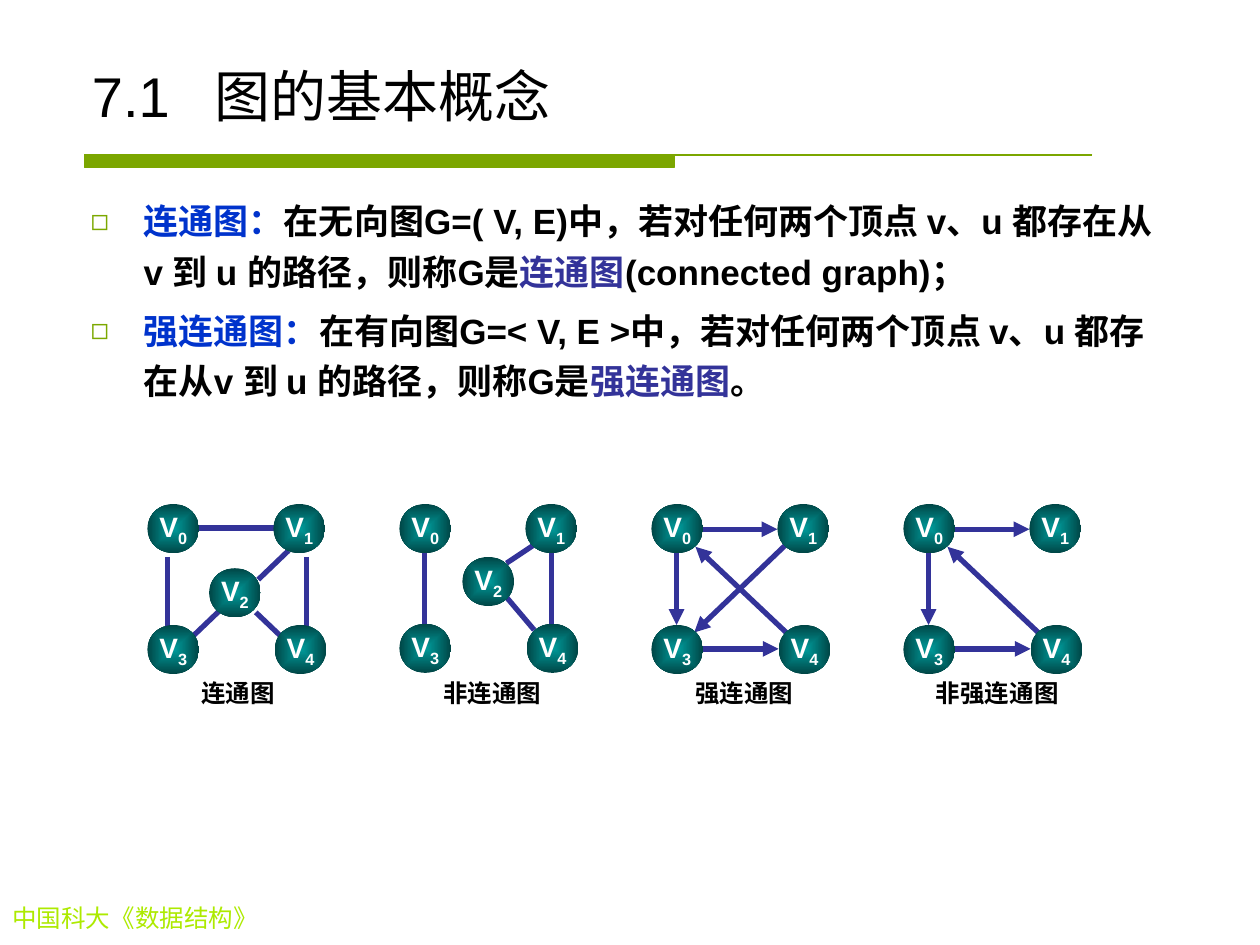
"""Builds a slide that defines connected and strongly connected graphs."""
from lxml import etree
from pptx import Presentation
from pptx.dml.color import RGBColor
from pptx.enum import shapes, text
from pptx.oxml.ns import qn
from pptx.util import Inches, Pt

BLACK = RGBColor(0x00, 0x00, 0x00)
WHITE = RGBColor(0xFF, 0xFF, 0xFF)
GREEN = RGBColor(0x7B, 0xA6, 0x00)
LIME = RGBColor(0xAD, 0xEA, 0x00)
BLUE = RGBColor(0x00, 0x33, 0xCC)
INDIGO = RGBColor(0x33, 0x33, 0x99)
TEAL = RGBColor(0x00, 0x99, 0x99)
DARK_TEAL = RGBColor(0x00, 0x46, 0x46)


def write(para, content, size=20, color=BLACK, bold=True, face="Arial", baseline=0):
    span = para.add_run()
    span.text = content
    span.font.size = Pt(size)
    span.font.bold = bold
    span.font.name = face
    span.font.color.rgb = color
    if baseline:
        span.font._element.set("baseline", str(baseline * 1000))


def add_element(parent, tag, **attributes):
    return etree.SubElement(parent, qn(tag), attributes)


deck = Presentation()
deck.slide_width, deck.slide_height = Inches(10), Inches(7.5)
page = deck.slides.add_slide(deck.slide_layouts[1])

outline = page.shapes.build_freeform(Inches(0.67), Inches(1.23))
outline.add_line_segments(
    [(Inches(x), Inches(y)) for x, y in [(5.35, 1.23), (5.35, 1.33), (0.67, 1.33)]])
outline.move_to(Inches(0.67), Inches(1.23))
outline.add_line_segments([(Inches(8.67), Inches(1.23))], close=False)
rule = outline.convert_to_shape()
rule.shadow.inherit = False
rule.fill.solid()
rule.fill.fore_color.rgb = GREEN
rule.line.color.rgb = GREEN
rule.line.width = Pt(0.75)

footer = page.shapes.add_textbox(Inches(0), Inches(7.12), Inches(3.11), Inches(0.34))
footer.text_frame.word_wrap = True
write(footer.text_frame.paragraphs[0], "中国科大《数据结构》",
      size=14, color=LIME, bold=False, face="Times New Roman")

title = page.shapes.title
title.left, title.top, title.width, title.height = map(Inches, (0.63, 0.33, 8.75, 0.74))
title.text_frame.vertical_anchor = text.MSO_ANCHOR.BOTTOM
title.text_frame.auto_size = text.MSO_AUTO_SIZE.NONE
para = title.text_frame.paragraphs[0]
para.alignment = text.PP_ALIGN.LEFT
tabs = add_element(para._p.get_or_add_pPr(), "a:tabLst")
add_element(tabs, "a:tab", pos=str(Inches(0.97)), algn="l")
write(para, "7.1\t图的基本概念", size=32, bold=False)

definitions = [
    [("连通图：", BLUE),
     ("在无向图G=( V, E)中，若对任何两个顶点 v、u 都存在从v 到 u 的路径，则称G是", BLACK),
     ("连通图", INDIGO), ("(connected graph)；", BLACK)],
    [("强连通图：", BLUE),
     ("在有向图G=< V, E >中，若对任何两个顶点 v、u 都存在从v 到 u 的路径，则称G是", BLACK),
     ("强连通图", INDIGO), ("。", BLACK)],
]
body = page.placeholders[1]
body.left, body.top, body.width, body.height = map(Inches, (0.62, 1.47, 8.75, 5.43))
body.text_frame.auto_size = text.MSO_AUTO_SIZE.NONE
for index, parts in enumerate(definitions):
    para = body.text_frame.add_paragraph() if index else body.text_frame.paragraphs[0]
    properties = para._p.get_or_add_pPr()
    properties.set("marL", str(Inches(0.42)))
    properties.set("indent", str(Inches(-0.42)))
    add_element(add_element(properties, "a:buClr"), "a:srgbClr", val="7CA800")
    add_element(properties, "a:buSzPct", val="85000")
    add_element(properties, "a:buChar", char="◻")
    para.line_spacing = 1.2
    para.space_before = Pt(5 if index else 0)
    for content, color in parts:
        write(para, content, color=color)

arrows = [(1.37, 4.39, 1.37, 4.96), (1.58, 4.2, 2.17, 4.2),
          (1.57, 5.15, 2.18, 5.15), (2.24, 5.02, 1.52, 4.34)]
graphs = [
    ("连通图", 1.5, 0.9, 4.96, (1.66, 4.51), False,
     [(1.33, 4.42, 1.33, 4.97), (1.57, 4.19, 2.24, 4.19), (2.43, 4.42, 2.43, 4.97),
      (1.76, 4.83, 1.52, 5.06), (2.29, 4.37, 2.05, 4.6), (2.03, 4.86, 2.24, 5.06)]),
    ("非连通图", 1.42, 1.1, 4.95, (1.67, 4.42), False,
     [(1.37, 4.39, 1.37, 4.95), (2.23, 4.33, 2.02, 4.47),
      (2.24, 5, 2.02, 4.74), (2.38, 4.39, 2.38, 4.95)]),
    ("强连通图", 1.42, 1.1, 4.96, None, True, arrows + [(2.23, 4.33, 1.51, 5.02)]),
    ("非强连通图", 1.33, 1.3, 4.96, None, True, arrows),
]
for index, (name, left, width, low, middle, directed, edges) in enumerate(graphs):
    shift = 2 * index
    group = page.shapes.add_group_shape()
    for x1, y1, x2, y2 in edges:
        edge = group.shapes.add_connector(
            shapes.MSO_CONNECTOR.STRAIGHT,
            Inches(x1 + shift), Inches(y1), Inches(x2 + shift), Inches(y2))
        edge.line.color.rgb = INDIGO
        edge.line.width = Pt(3)
        if directed:
            add_element(edge.line._get_or_add_ln(), "a:tailEnd", type="triangle")
        add_element(edge._element.spPr, "a:effectLst")

    nodes = {"0": (1.17, 4), "1": (2.17, 4), "3": (1.17, low), "4": (2.18, low)}
    if middle:
        nodes["2"] = middle
    for number, (x, y) in nodes.items():
        node = group.shapes.add_shape(shapes.MSO_SHAPE.OVAL, Inches(x + shift), Inches(y),
                                      Inches(0.41), Inches(0.39))
        node.shadow.inherit = False
        node.line.fill.background()
        node.fill.gradient()
        for stop, color in zip(node.fill.gradient_stops, (TEAL, DARK_TEAL)):
            stop.color.rgb = color
        gradient = node._element.spPr.find(qn("a:gradFill"))
        gradient.remove(gradient.find(qn("a:lin")))
        focus = add_element(gradient, "a:path", path="rect")
        add_element(focus, "a:fillToRect", l="50000", t="50000", r="50000", b="50000")
        node.text_frame.word_wrap = False
        node.text_frame.vertical_anchor = text.MSO_ANCHOR.MIDDLE
        para = node.text_frame.paragraphs[0]
        para.alignment = text.PP_ALIGN.CENTER
        write(para, "V", size=16, color=WHITE)
        write(para, number, size=16, color=WHITE, baseline=-25)

    caption = group.shapes.add_textbox(Inches(left + shift), Inches(5.33),
                                       Inches(width), Inches(0.34))
    caption.text_frame.word_wrap = True
    write(caption.text_frame.paragraphs[0], name, size=14)

deck.save("out.pptx")
